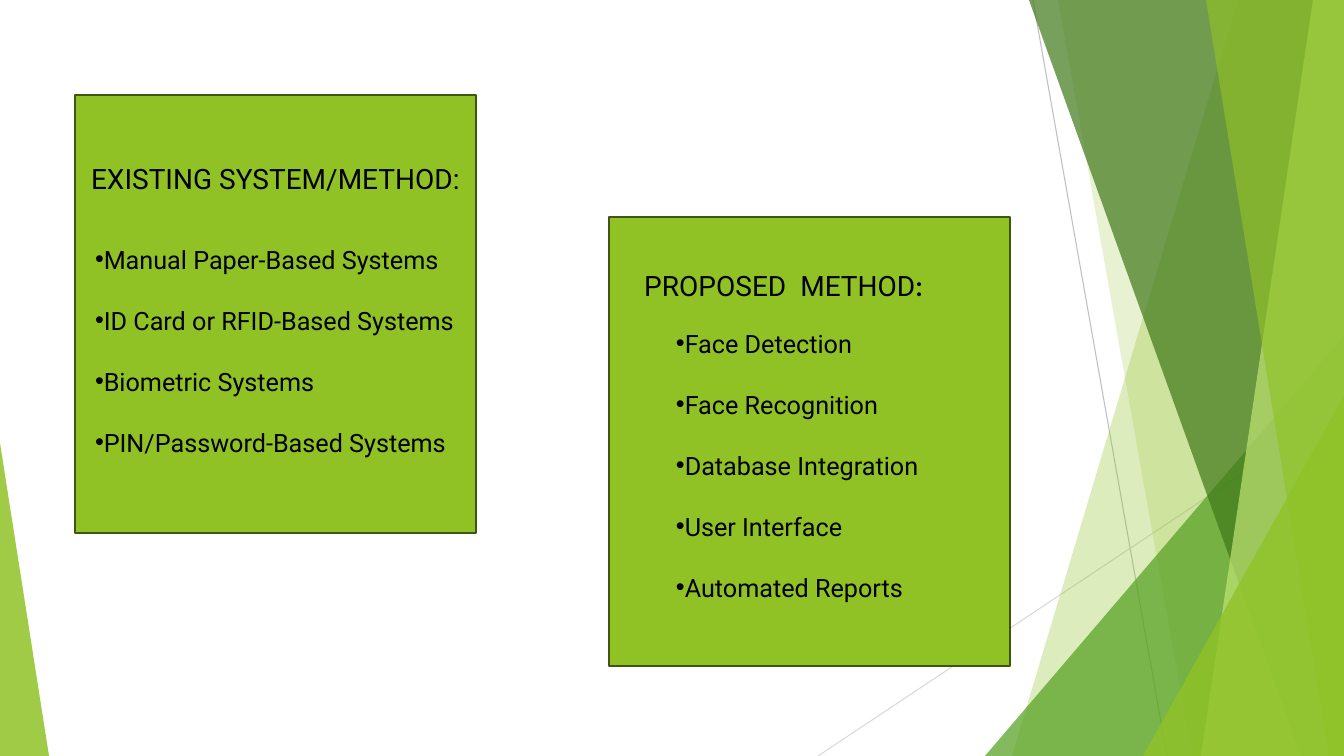
from lxml import etree
from pptx import Presentation
from pptx.dml.color import RGBColor
from pptx.enum.shapes import MSO_CONNECTOR, MSO_SHAPE
from pptx.enum.text import MSO_ANCHOR, MSO_AUTO_SIZE, PP_ALIGN
from pptx.oxml.ns import qn
from pptx.util import Emu, Pt

RECTANGLE = MSO_SHAPE.RECTANGLE
TRIANGLE = MSO_SHAPE.ISOSCELES_TRIANGLE
STRAIGHT = MSO_CONNECTOR.STRAIGHT
TOP = MSO_ANCHOR.TOP
NO_AUTOFIT = MSO_AUTO_SIZE.NONE
LEFT, CENTER = PP_ALIGN.LEFT, PP_ALIGN.CENTER

SLIDE_W, SLIDE_H = 1344, 756
PX = 12192000 / SLIDE_W
COMPARISON_LAYOUT = 4
FONT = "Roboto"
COLORS = {
    "lime": "90C226",
    "green": "54A021",
    "forest": "3F7819",
    "pale": "C0E474",
    "outline": "3F5511",
    "text": "000000",
    "gray": "BFBFBF",
    "light gray": "D9D9D9",
}


def px(*lengths):
    return [Emu(round(length * PX)) for length in lengths]


def color(name):
    return RGBColor.from_string(COLORS[name])


def tint(shape, fill, opacity):
    """Give a borderless shape a translucent fill; opacity is in percent."""
    shape.shadow.inherit = False
    shape.line.fill.background()
    shape.fill.solid()
    shape.fill.fore_color.rgb = color(fill)
    rgb = shape.fill._xPr.find(".//" + qn("a:srgbClr"))
    etree.SubElement(rgb, qn("a:alpha"), val=str(opacity * 1000))


def add_ray(slide, start, end, stroke):
    ray = slide.shapes.add_connector(STRAIGHT, *px(*start, *end))
    ray.line.color.rgb = color(stroke)
    ray.line.width = Pt(0.75)
    etree.SubElement(ray._element.spPr, qn("a:effectLst"))


def add_band(slide, top_x, bottom_x, fill, opacity):
    """Fill from a slanted edge to the right side of the slide."""
    outline = slide.shapes.build_freeform(top_x, 0, scale=PX)
    outline.add_line_segments(
        [(SLIDE_W, 0), (SLIDE_W, SLIDE_H), (bottom_x, SLIDE_H)])
    tint(outline.convert_to_shape(), fill, opacity)


def add_wedge(slide, left, top, width, apex, fill, opacity):
    """Stand a triangle on the bottom edge; apex runs from 0 (left) to 1."""
    wedge = slide.shapes.add_shape(
        TRIANGLE, *px(left, top, width, SLIDE_H - top))
    wedge.adjustments[0] = apex
    tint(wedge, fill, opacity)


def add_backdrop(slide):
    add_ray(slide, (1033, 0), (1167, SLIDE_H), "gray")
    add_ray(slide, (SLIDE_W, 406), (818, SLIDE_H), "light gray")
    add_band(slide, 1238, 1012, "lime", 30)
    add_band(slide, 1058, 1192, "lime", 20)
    add_wedge(slide, 985, 336, 359, 1, "green", 72)
    add_band(slide, 1029, 1301, "forest", 70)
    add_band(slide, 1313, 1201, "pale", 70)
    add_band(slide, 1206, 1329, "lime", 65)
    add_wedge(slide, 1143, 396, 201, 1, "lime", 80)
    add_wedge(slide, 0, 443, 49, 0, "lime", 85)


def place(placeholder, left, top, width, height):
    """Move a placeholder to the front and into its box, without insets."""
    placeholder._element.getparent().append(placeholder._element)
    (placeholder.left, placeholder.top,
     placeholder.width, placeholder.height) = px(left, top, width, height)
    frame = placeholder.text_frame
    frame.margin_left = frame.margin_right = 0
    frame.margin_top = frame.margin_bottom = 0
    frame.vertical_anchor = TOP
    frame.auto_size = NO_AUTOFIT
    frame.word_wrap = True
    return frame


def format_paragraph(paragraph, size, align, gap=0):
    paragraph.alignment = align
    paragraph.space_before = Pt(0)
    paragraph.space_after = Pt(gap)
    font = paragraph.font
    font.name, font.size, font.bold = FONT, Pt(size), False
    font.color.rgb = color("text")


def add_bullet(paragraph):
    properties = paragraph._p.get_or_add_pPr()
    properties.set("marL", "0")
    properties.set("indent", "0")
    etree.SubElement(properties, qn("a:buChar"), char="•")


def add_method_panel(slide, box, heading, heading_at, methods, list_at):
    """Draw a panel; heading_at and list_at are (x, y) offsets inside box."""
    left, top, width, height = box
    panel = slide.shapes.add_shape(RECTANGLE, *px(*box))
    panel.shadow.inherit = False
    panel.fill.solid()
    panel.fill.fore_color.rgb = color("lime")
    panel.line.color.rgb = color("outline")
    panel.line.width = Pt(1.5)

    heading_holder, heading_text = heading
    x, y = heading_at
    title = place(heading_holder, left + x, top + y, width, 34).paragraphs[0]
    title.text = heading_text
    format_paragraph(title, 20, CENTER)

    list_holder, items = methods
    x, y = list_at
    frame = place(list_holder, left + x, top + y, width - x, height - y)
    frame.text = "\n".join(items)
    for paragraph in frame.paragraphs:
        add_bullet(paragraph)
        format_paragraph(paragraph, 18, LEFT, gap=22)
    return title


def main():
    deck = Presentation()
    deck.slide_width, deck.slide_height = px(SLIDE_W, SLIDE_H)
    slide = deck.slides.add_slide(deck.slide_layouts[COMPARISON_LAYOUT])
    slide_title, *holders = slide.placeholders
    slide_title._element.getparent().remove(slide_title._element)
    existing_heading, existing_list, proposed_heading, proposed_list = holders

    add_backdrop(slide)
    add_method_panel(
        slide, (75, 95, 401, 438),
        (existing_heading, "EXISTING SYSTEM/METHOD:"), (0, 66),
        (existing_list, ["Manual Paper-Based Systems",
                         "ID Card or RFID-Based Systems",
                         "Biometric Systems",
                         "PIN/Password-Based Systems"]), (20, 149))
    proposed_title = add_method_panel(
        slide, (609, 217, 401, 449),
        (proposed_heading, "PROPOSED  METHOD"), (-26, 51),
        (proposed_list, ["Face Detection",
                         "Face Recognition",
                         "Database Integration",
                         "User Interface",
                         "Automated Reports"]), (67, 111))
    colon = proposed_title.add_run()
    colon.text = ":"
    colon.font.size, colon.font.bold = Pt(18), True

    deck.save("out.pptx")


if __name__ == "__main__":
    main()
